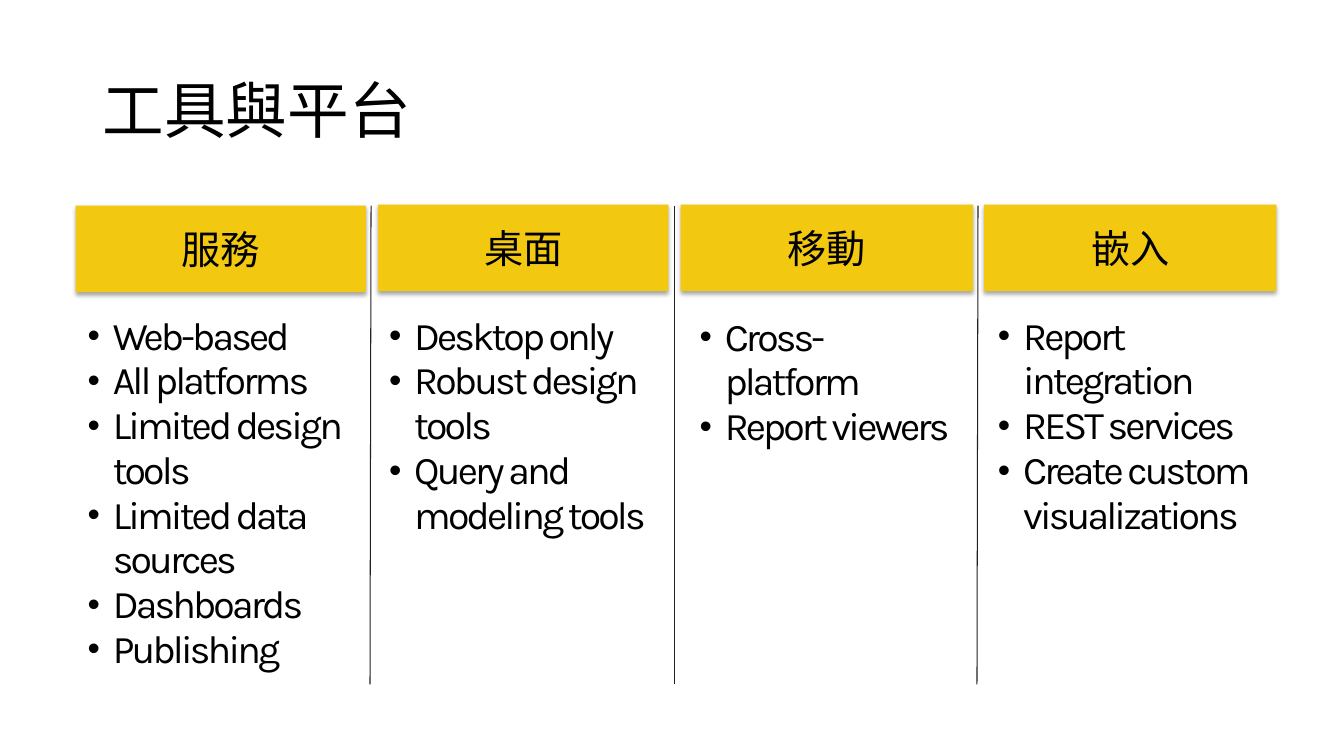
"""Build a slide that compares four kinds of tools and platforms."""
from dataclasses import dataclass

import lxml.etree
import pptx
import pptx.dml.color
import pptx.enum.shapes
import pptx.enum.text
import pptx.oxml.ns
import pptx.shapes.autoshape
import pptx.util

PX = 9144
FONT = "Karla"
BLACK = pptx.dml.color.RGBColor(0x00, 0x00, 0x00)
GOLD = pptx.dml.color.RGBColor(0xF2, 0xC8, 0x11)
GREY = pptx.dml.color.RGBColor(0x21, 0x21, 0x21)
ANCHOR = pptx.enum.text.MSO_ANCHOR
qn = pptx.oxml.ns.qn


@dataclass(frozen=True)
class Box:
    """Place and size in px."""
    left: int
    top: int
    width: int
    height: int

    def emu(self) -> list[int]:
        """Return the four lengths in EMU."""
        return [n * PX for n in (self.left, self.top, self.width, self.height)]


@dataclass(frozen=True)
class Column:
    """A header with its bullet list."""
    head: str
    bar: Box
    body: Box
    items: tuple[str, ...]


@dataclass(frozen=True)
class Rule:
    """A thin line between two columns."""
    top_x: int
    end_x: int


COLUMNS = (
    Column("服務", Box(75, 204, 288, 86), Box(77, 307, 282, 364),
           ("Web-based", "All platforms", "Limited design tools",
            "Limited data sources", "Dashboards", "Publishing")),
    Column("桌面", Box(375, 203, 288, 86), Box(376, 307, 282, 326),
           ("Desktop only", "Robust design tools", "Query and modeling tools")),
    Column("移動", Box(675, 203, 290, 86), Box(684, 308, 274, 225),
           ("Cross-platform", "Report viewers")),
    Column("嵌入", Box(976, 203, 290, 86), Box(980, 307, 286, 269),
           ("Report integration", "REST services",
            "Create custom visualizations")),
)
RULES = (Rule(368, 367), Rule(669, 669), Rule(970, 969))


def add_node(parent, tag: str, **attrs: str):
    """Append an XML child with the given attributes."""
    return lxml.etree.SubElement(parent, qn(tag), attrs)


def style(para, size: int) -> None:
    """Set the font of a paragraph."""
    para.font.name = FONT
    para.font.size = pptx.util.Pt(size)
    para.font.color.rgb = BLACK


def add_title(slide, text: str, box: Box) -> None:
    """Draw the slide title."""
    frame = slide.shapes.add_textbox(*box.emu()).text_frame
    frame.word_wrap = True
    frame.vertical_anchor = ANCHOR.MIDDLE
    para = frame.paragraphs[0]
    para.text = text
    para.line_spacing = 0.9
    style(para, 44)


def add_shadow(shape: pptx.shapes.autoshape.Shape) -> None:
    """Give a shape a soft shadow below it."""
    shape.shadow.inherit = False
    effects = shape.element.spPr.find(qn("a:effectLst"))
    outer = add_node(effects, "a:outerShdw", blurRad="40000", dist="23000",
                     dir="5400000", rotWithShape="0")
    color = add_node(outer, "a:srgbClr", val=str(BLACK))
    add_node(color, "a:alpha", val="35000")


def add_bar(slide, text: str, box: Box) -> None:
    """Draw a column header."""
    kind = pptx.enum.shapes.MSO_SHAPE.RECTANGLE
    bar = slide.shapes.add_shape(kind, *box.emu())
    bar.fill.solid()
    bar.fill.fore_color.rgb = GOLD
    bar.line.fill.background()
    add_shadow(bar)
    frame = bar.text_frame
    frame.vertical_anchor = ANCHOR.MIDDLE
    para = frame.paragraphs[0]
    para.text = text
    para.alignment = pptx.enum.text.PP_ALIGN.CENTER
    style(para, 28)


def add_bullet(para) -> None:
    """Give a paragraph a hanging bullet."""
    props = para._p.get_or_add_pPr()
    props.set("marL", str(25 * PX))
    props.set("indent", str(-25 * PX))
    add_node(add_node(props, "a:buClr"), "a:srgbClr", val=str(BLACK))
    add_node(props, "a:buSzPct", val="90000")
    add_node(props, "a:buFont", typeface="Arial")
    add_node(props, "a:buChar", char="•")


def add_list(slide, items: tuple[str, ...], box: Box) -> None:
    """Draw a bullet list with tight letters."""
    frame = slide.shapes.add_textbox(*box.emu()).text_frame
    frame.word_wrap = True
    frame.auto_size = pptx.enum.text.MSO_AUTO_SIZE.SHAPE_TO_FIT_TEXT
    for i, item in enumerate(items):
        para = frame.add_paragraph() if i else frame.paragraphs[0]
        add_bullet(para)
        para.line_spacing = 0.95
        style(para, 28)
        run = para.add_run()
        run.text = item
        run._r.get_or_add_rPr().set("spc", "-200")


def add_rule(slide, rule: Rule) -> None:
    """Draw a line between columns."""
    kind = pptx.enum.shapes.MSO_CONNECTOR.STRAIGHT
    ends = (rule.top_x, 204, rule.end_x, 679)
    line = slide.shapes.add_connector(kind, *[n * PX for n in ends])
    line.line.color.rgb = GREY
    line.line.width = pptx.util.Pt(0.75)
    add_node(line._element.spPr, "a:effectLst")


def main() -> None:
    """Build and save the slide."""
    deck = pptx.Presentation()
    deck.slide_width = 1333 * PX
    deck.slide_height = 750 * PX
    slide = deck.slides.add_slide(deck.slide_layouts[6])
    add_title(slide, "工具與平台", Box(92, 40, 1150, 145))
    for col in COLUMNS:
        add_bar(slide, col.head, col.bar)
        add_list(slide, col.items, col.body)
    for rule in RULES:
        add_rule(slide, rule)
    deck.save("out.pptx")


if __name__ == "__main__":
    main()
